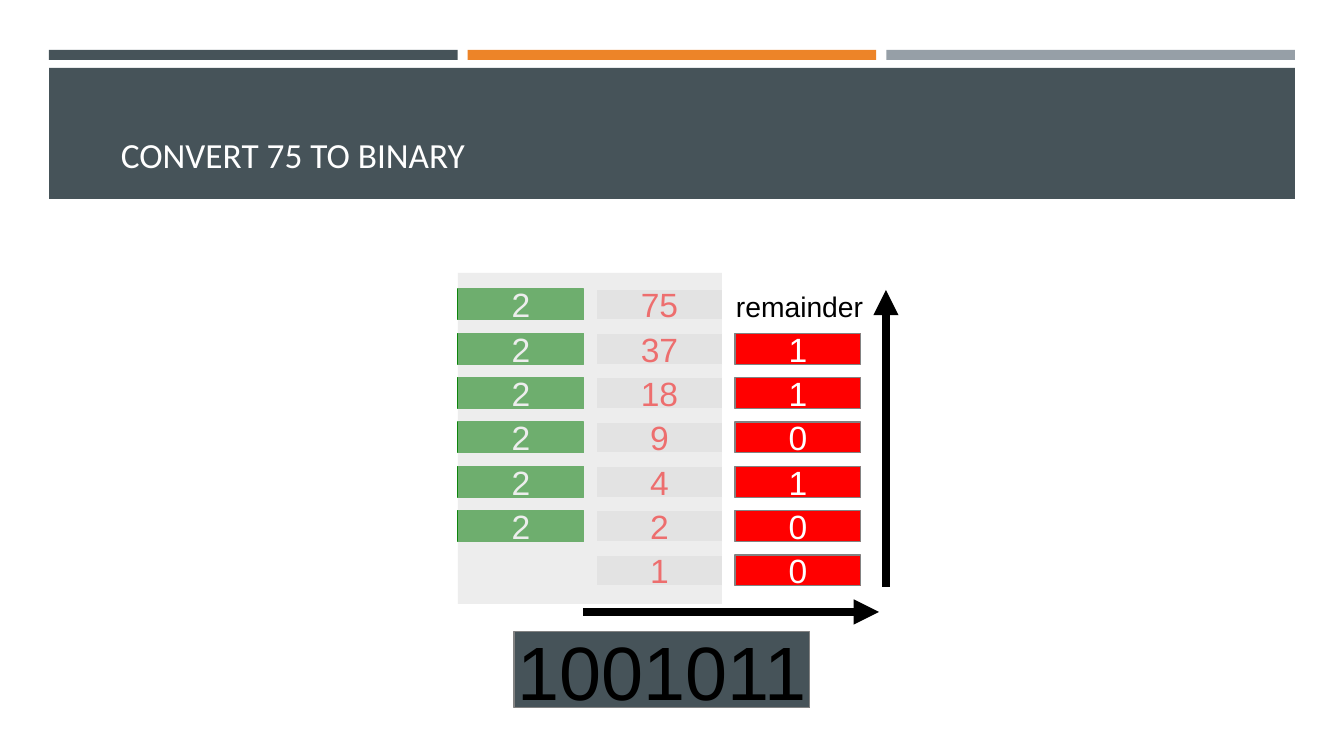
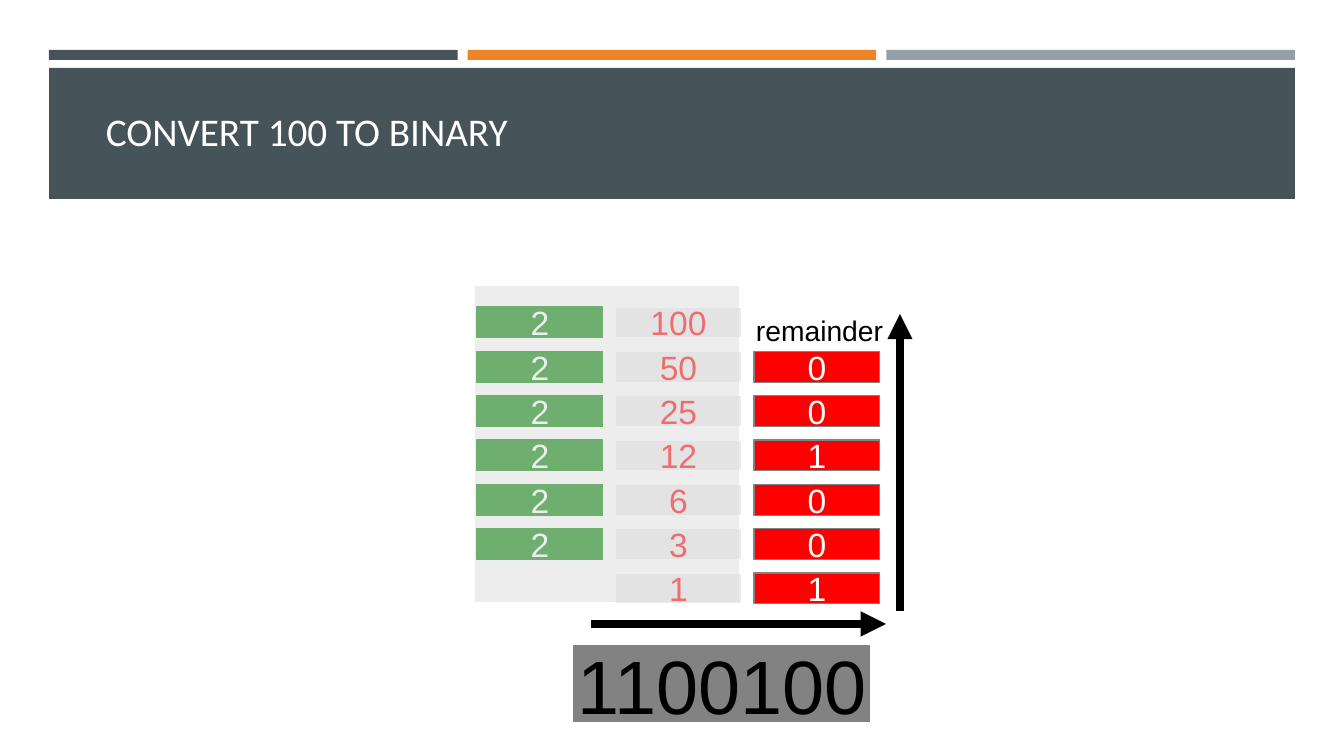
from dataclasses import dataclass

from lxml import etree
from pptx import Presentation
from pptx import util as u
from pptx.dml.color import RGBColor
from pptx.enum import shapes, text
from pptx.oxml.ns import qn

EMU_PER_PX = 914400 / 100.8


@dataclass(frozen=True)
class Theme:
    slate: str = "465359"
    orange: str = "ED8428"
    silver: str = "969FA7"
    gray: str = "828282"
    pale: str = "EBEBEB"
    veil: str = "DDDDDD"
    green: str = "008000"
    red: str = "FF0000"
    white: str = "FFFFFF"
    black: str = "000000"
    title_font: str = "Calibri"
    body_font: str = "Arial"
    cell_size: float = 24
    label_size: float = 20.2
    result_size: float = 54
    cell_line: float = 0.75
    arrow_line: float = 6
    veil_opacity: int = 50


THEME = Theme()


@dataclass(frozen=True)
class Conversion:
    """One slide; boxes are (left, top, width, height), arrows (start, end)."""
    number: int
    title_box: tuple
    title_size: float
    grid_box: tuple
    veil_box: tuple
    label_box: tuple
    result_box: tuple
    result_fill: str
    arrows: tuple


CONVERSIONS = (
    Conversion(
        number=75,
        title_box=(111, 131, 655, 50), title_size=25.2,
        grid_box=(458, 289, 403, 297),
        veil_box=(458, 273, 264, 331),
        label_box=(726, 284, 149, 44),
        result_box=(514, 632, 296, 76), result_fill=THEME.slate,
        arrows=(((583, 612), (879, 612)), ((886, 587), (886, 290))),
    ),
    Conversion(
        number=100,
        title_box=(96, 64, 643, 95), title_size=28,
        grid_box=(477, 307, 403, 297),
        veil_box=(475, 286, 264, 316),
        label_box=(746, 308, 149, 44),
        result_box=(574, 646, 296, 76), result_fill=THEME.gray,
        arrows=(((591, 624), (886, 624)), ((900, 611), (900, 314))),
    ),
)


def px(*lengths):
    return [u.Emu(round(length * EMU_PER_PX)) for length in lengths]


def write(shape, content, size, color, font, align=text.PP_ALIGN.LEFT,
          anchor=text.MSO_ANCHOR.TOP, wrap=False):
    frame = shape.text_frame
    frame.word_wrap = wrap
    frame.vertical_anchor = anchor
    paragraph = frame.paragraphs[0]
    paragraph.text = content
    paragraph.alignment = align
    paragraph.font.size = u.Pt(size)
    paragraph.font.name = font
    paragraph.font.color.rgb = RGBColor.from_string(color)


def add_box(slide, box, fill, line=None):
    shape = slide.shapes.add_shape(shapes.MSO_SHAPE.RECTANGLE, *px(*box))
    shape.shadow.inherit = False
    shape.fill.solid()
    shape.fill.fore_color.rgb = RGBColor.from_string(fill)
    if line:
        shape.line.color.rgb = RGBColor.from_string(line)
        shape.line.width = u.Pt(THEME.cell_line)
    else:
        shape.line.fill.background()
    return shape


def add_number(slide, box, content, fill, line, color, size=THEME.cell_size):
    write(add_box(slide, box, fill, line), content, size, color,
          THEME.body_font, text.PP_ALIGN.CENTER, text.MSO_ANCHOR.MIDDLE)


def add_arrow(slide, start, end):
    arrow = slide.shapes.add_connector(
        shapes.MSO_CONNECTOR.STRAIGHT, *px(*start, *end))
    arrow.line.color.rgb = RGBColor.from_string(THEME.black)
    arrow.line.width = u.Pt(THEME.arrow_line)
    etree.SubElement(arrow.get_or_add_ln(), qn("a:tailEnd"), type="triangle")
    etree.SubElement(arrow.element.spPr, qn("a:effectLst"))


def add_header(slide, box):
    """Place three coloured strips above the title band, inside the box."""
    left, top, width, height = box
    gap, strip_height, band_offset = 10, 10, 18
    strip_width = (width - 2 * gap) / 3
    for index, color in enumerate((THEME.slate, THEME.orange, THEME.silver)):
        strip_left = left + index * (strip_width + gap)
        add_box(slide, (strip_left, top, strip_width, strip_height), color)
    add_box(slide, (left, top + band_offset, width, height - band_offset),
            THEME.slate)


def add_title(slide, box, number, size):
    title = slide.shapes.add_textbox(*px(*box))
    write(title, f"CONVERT {number} TO BINARY", size, THEME.white,
          THEME.title_font, anchor=text.MSO_ANCHOR.BOTTOM, wrap=True)


def add_division_grid(slide, box, number):
    """Halve the number row by row: divisor, quotient, remainder."""
    left, top, width, height = box
    cell_width, cell_height = 126, 31
    column_step = (width - cell_width) / 2
    row_step = (height - cell_height) / (number.bit_length() - 1)

    for row in range(number.bit_length()):
        quotient = number >> row
        divisor_box, quotient_box, remainder_box = (
            (left + column * column_step, top + row * row_step,
             cell_width, cell_height) for column in range(3))
        add_number(slide, quotient_box, str(quotient),
                   THEME.pale, THEME.white, THEME.red)
        if row > 0:
            remainder = (number >> (row - 1)) % 2
            add_number(slide, remainder_box, str(remainder),
                       THEME.red, THEME.gray, THEME.white)
        if quotient > 1:
            add_number(slide, divisor_box, "2",
                       THEME.green, THEME.green, THEME.white)


def add_veil(slide, box):
    """Cover the worked columns with a translucent panel."""
    veil = add_box(slide, box, THEME.veil)
    color = veil.element.spPr.find(f".//{qn('a:srgbClr')}")
    etree.SubElement(color, qn("a:alpha"), val=str(THEME.veil_opacity * 1000))


def add_remainder_label(slide, box):
    label = slide.shapes.add_textbox(*px(*box))
    write(label, "remainder", THEME.label_size, THEME.black, THEME.body_font)
    label.text_frame.auto_size = text.MSO_AUTO_SIZE.SHAPE_TO_FIT_TEXT


def add_conversion_slide(presentation, conversion):
    slide = presentation.slides.add_slide(presentation.slide_layouts[6])
    number = conversion.number
    add_header(slide, (49, 50, 1246, 149))
    add_title(slide, conversion.title_box, number, conversion.title_size)
    add_division_grid(slide, conversion.grid_box, number)
    add_number(slide, conversion.result_box, f"{number:b}",
               conversion.result_fill, THEME.gray, THEME.black,
               THEME.result_size)
    for start, end in conversion.arrows:
        add_arrow(slide, start, end)
    add_veil(slide, conversion.veil_box)
    add_remainder_label(slide, conversion.label_box)


def main():
    presentation = Presentation()
    presentation.slide_width, presentation.slide_height = px(1344, 756)
    for conversion in CONVERSIONS:
        add_conversion_slide(presentation, conversion)
    presentation.save("out.pptx")


if __name__ == "__main__":
    main()
